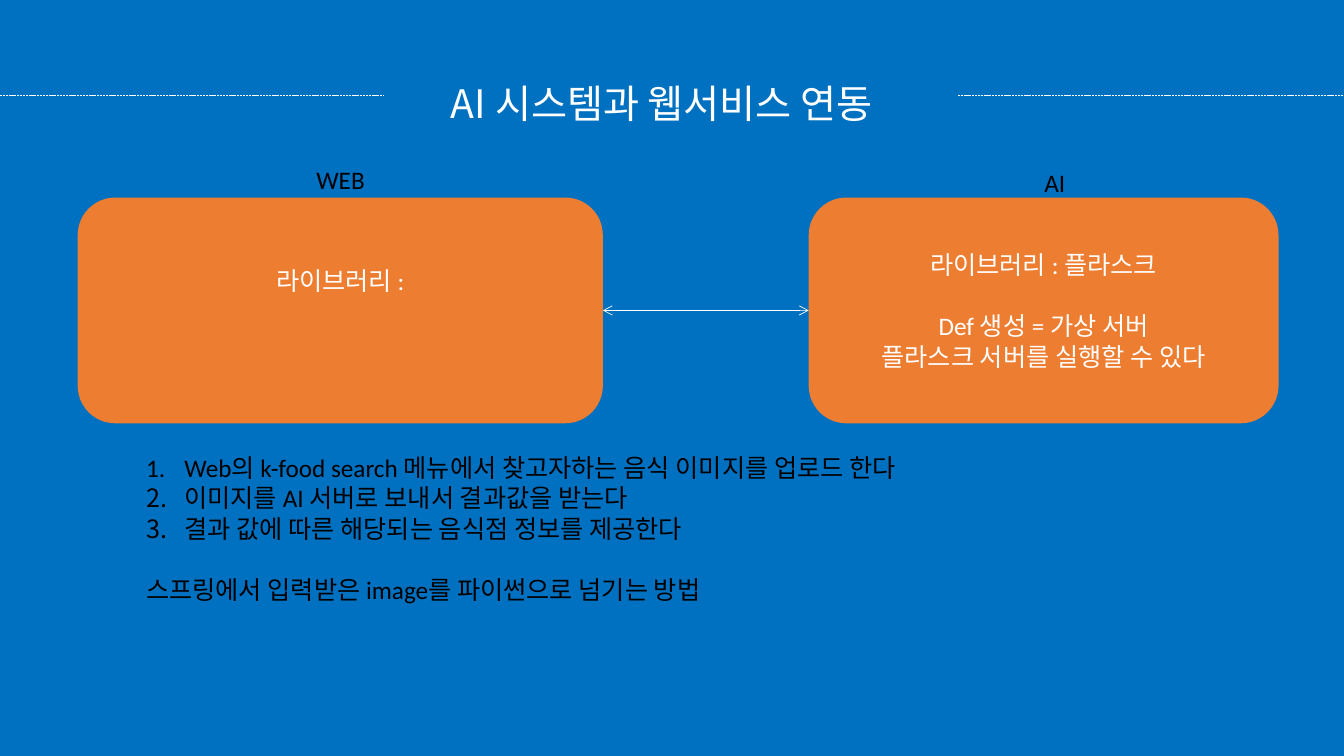
from dataclasses import dataclass

from lxml.etree import SubElement
from pptx import Presentation
from pptx.dml.color import RGBColor
from pptx.enum.dml import MSO_LINE
from pptx.enum.shapes import MSO_CONNECTOR, MSO_SHAPE
from pptx.enum.text import MSO_ANCHOR, MSO_AUTO_SIZE, PP_ALIGN
from pptx.oxml.ns import qn
from pptx.shapes.autoshape import Shape
from pptx.shapes.connector import Connector
from pptx.slide import Slide
from pptx.text.text import TextFrame
from pptx.util import Inches, Pt

WIDTH, HEIGHT = Inches(13.33), Inches(7.5)
COLORS = {"background": "0070C0", "panel": "ED7D31", "light": "FFFFFF", "dark": "000000"}
LATIN_FONT, KOREAN_FONT = "Calibri", "Noto Sans CJK KR"
BODY_SIZE = 18
BLANK_LINE = Pt(22)
NUMBER_INDENT = Inches(0.38)


@dataclass
class Area:
    """Left, top, width and height in percent of the slide."""
    left: float
    top: float
    width: float
    height: float

    def box(self) -> tuple[int, int, int, int]:
        return across(self.left), down(self.top), across(self.width), down(self.height)


@dataclass
class System:
    name: str
    name_area: Area
    area: Area
    lines: list[str]
    gap_before: int | None = None
    bottom_inset: float = 0.05


PANEL_TOP, PANEL_HEIGHT = 26.13, 29.87
NAME_HEIGHT = 5.33
WEB = System("WEB", Area(22.8, 21.07, 5.18, NAME_HEIGHT),
             Area(5.78, PANEL_TOP, 39.08, PANEL_HEIGHT),
             ["라이브러리 :"], bottom_inset=0.65)
AI = System("AI", Area(76.97, 21.47, 3.08, NAME_HEIGHT),
            Area(60.17, PANEL_TOP, 34.96, PANEL_HEIGHT),
            ["라이브러리 : 플라스크", "Def 생성 = 가상 서버", "플라스크 서버를 실행할 수 있다"],
            gap_before=1)

TITLE = "AI 시스템과 웹서비스 연동"
TITLE_AREA = Area(30.08, 6.67, 38.33, 10.8)
TITLE_RULES = [(0, 28.5), (71.27, 100)]
RULE_TOP = 12.6
STEPS = [
    "Web의 k-food search 메뉴에서 찾고자하는 음식 이미지를 업로드 한다",
    "이미지를 AI 서버로 보내서 결과값을 받는다",
    "결과 값에 따른 해당되는 음식점 정보를 제공한다",
]
QUESTION = "스프링에서 입력받은 image를 파이썬으로 넘기는 방법"
NOTES_AREA = Area(10.13, 59.2, 61.14, 21.6)


def across(percent: float) -> int:
    return round(WIDTH * percent / 100)


def down(percent: float) -> int:
    return round(HEIGHT * percent / 100)


def rgb(name: str) -> RGBColor:
    return RGBColor.from_string(COLORS[name])


def write(frame: TextFrame, lines: list[str], color: str, size: float = BODY_SIZE,
          font: str = LATIN_FONT, align: PP_ALIGN = PP_ALIGN.LEFT,
          gap_before: int | None = None) -> None:
    """Fill the frame; gap_before is the index of the line that follows a gap."""
    frame.text = "\n".join(lines)
    for index, paragraph in enumerate(frame.paragraphs):
        paragraph.alignment = align
        if index == gap_before:
            paragraph.space_before = BLANK_LINE
        for run in paragraph.runs:
            run.font.size = Pt(size)
            run.font.name = font
            run.font.color.rgb = rgb(color)
            SubElement(run.font._element, qn("a:ea"), typeface=KOREAN_FONT)


def add_label(slide: Slide, area: Area, lines: list[str],
              gap_before: int | None = None) -> TextFrame:
    frame = slide.shapes.add_textbox(*area.box()).text_frame
    frame.word_wrap = False
    frame.auto_size = MSO_AUTO_SIZE.SHAPE_TO_FIT_TEXT
    write(frame, lines, "dark", gap_before=gap_before)
    return frame


def add_line(slide: Slide, start: float, end: float, top: float) -> Connector:
    line = slide.shapes.add_connector(
        MSO_CONNECTOR.STRAIGHT, across(start), down(top), across(end), down(top))
    line.line.color.rgb = rgb("light")
    line.line.width = Pt(0.5)
    SubElement(line._element.spPr, qn("a:effectLst"))
    return line


def add_system(slide: Slide, system: System) -> Shape:
    panel = slide.shapes.add_shape(MSO_SHAPE.ROUNDED_RECTANGLE, *system.area.box())
    panel.shadow.inherit = False
    panel.fill.solid()
    panel.fill.fore_color.rgb = rgb("panel")
    panel.line.fill.background()
    frame = panel.text_frame
    frame.word_wrap = True
    frame.vertical_anchor = MSO_ANCHOR.MIDDLE
    frame.margin_bottom = Inches(system.bottom_inset)
    write(frame, system.lines, "light", align=PP_ALIGN.CENTER, gap_before=system.gap_before)
    add_label(slide, system.name_area, [system.name])
    return panel


def add_title(slide: Slide) -> None:
    title = slide.shapes.title
    title.left, title.top, title.width, title.height = TITLE_AREA.box()
    frame = title.text_frame
    frame.word_wrap = True
    frame.auto_size = MSO_AUTO_SIZE.SHAPE_TO_FIT_TEXT
    frame.vertical_anchor = MSO_ANCHOR.TOP
    write(frame, [TITLE], "light", 28, KOREAN_FONT, PP_ALIGN.CENTER)
    frame.paragraphs[0].line_spacing = 1.5
    for start, end in TITLE_RULES:
        add_line(slide, start, end, RULE_TOP).line.dash_style = MSO_LINE.SQUARE_DOT


def add_link(slide: Slide, source: Shape, target: Shape) -> None:
    """Join two panels with a double-headed arrow."""
    link = add_line(slide, WEB.area.left + WEB.area.width, AI.area.left,
                    PANEL_TOP + PANEL_HEIGHT / 2)
    link.begin_connect(source, 3)
    link.end_connect(target, 1)
    for end in ("a:headEnd", "a:tailEnd"):
        SubElement(link.line._get_or_add_ln(), qn(end), type="arrow")


def add_notes(slide: Slide) -> None:
    frame = add_label(slide, NOTES_AREA, [*STEPS, QUESTION], gap_before=len(STEPS))
    for step in frame.paragraphs[:len(STEPS)]:
        properties = step._p.get_or_add_pPr()
        properties.set("marL", str(NUMBER_INDENT))
        properties.set("indent", str(-NUMBER_INDENT))
        SubElement(properties, qn("a:buAutoNum"), type="arabicPeriod")


def main() -> None:
    deck = Presentation()
    deck.slide_width, deck.slide_height = WIDTH, HEIGHT
    slide = deck.slides.add_slide(deck.slide_layouts[5])
    slide.background.fill.solid()
    slide.background.fill.fore_color.rgb = rgb("background")
    add_title(slide)
    web_panel, ai_panel = [add_system(slide, system) for system in (WEB, AI)]
    add_notes(slide)
    add_link(slide, web_panel, ai_panel)
    deck.save("out.pptx")


if __name__ == "__main__":
    main()
